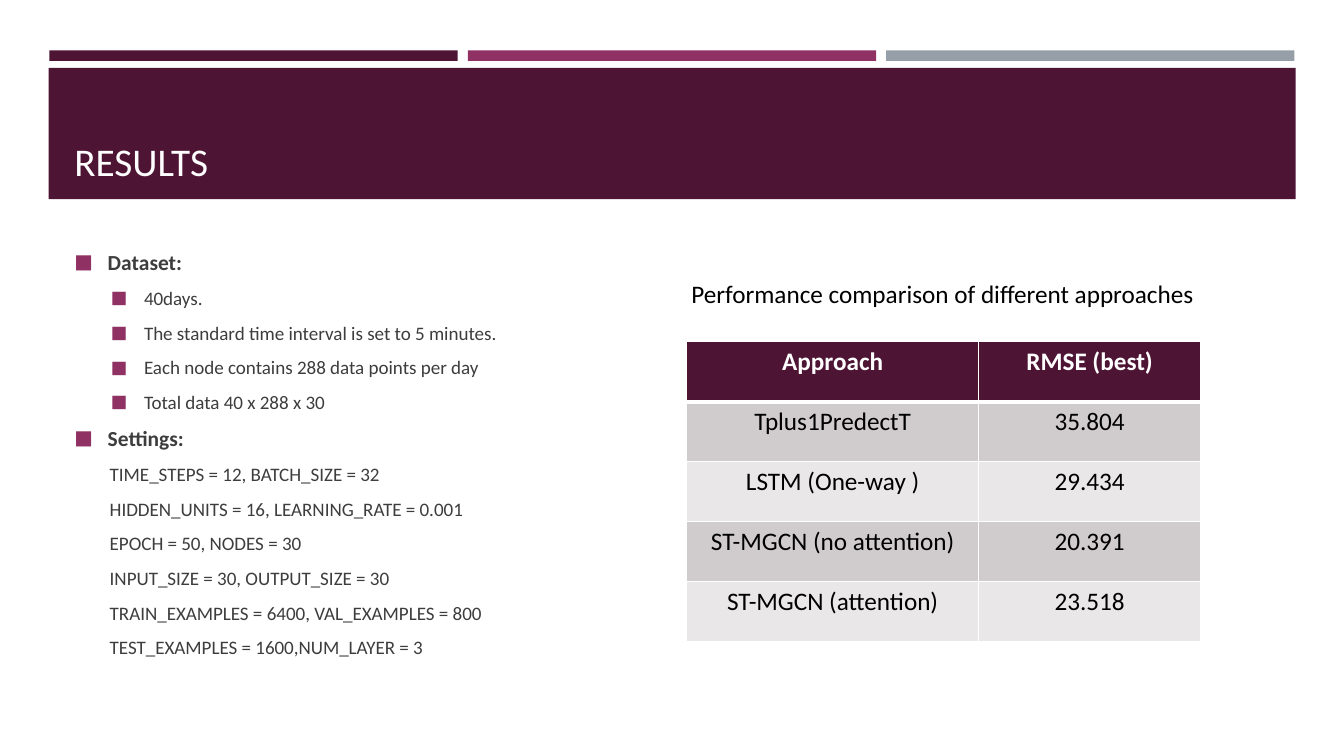
import pptx
import pptx.util
import pptx.dml.color
import pptx.enum.shapes
import pptx.enum.text
import pptx.oxml
import lxml.etree

deck = pptx.Presentation()
deck.slide_width = pptx.util.Inches(13.33)
deck.slide_height = pptx.util.Inches(7.5)
page = deck.slides.add_slide(deck.slide_layouts[6])

PLUM, BERRY, GREY, WHITE, BLACK, INK = "4D1434", "903163", "969FA7", "FFFFFF", "000000", "3D3D3D"


def area(left, top, width, height):
    wide, high = deck.slide_width / 100, deck.slide_height / 100
    return [round(share) for share in (left * wide, top * high, width * wide, height * high)]


def paint(target, color, size=None, bold=False):
    if size:
        target.font.name = "Calibri"
        target.font.size = pptx.util.Pt(size)
        target.font.bold = bold
        target = target.font
    target.fill.solid()
    target.fill.fore_color.rgb = pptx.dml.color.RGBColor.from_string(color)


blocks = [(area(3.68 + 31.13 * column, 6.67, 30.38, 1.4), color)
          for column, color in enumerate([PLUM, BERRY, GREY])]
blocks.append((area(3.63, 8.98, 92.78, 17.36), PLUM))
for place, color in blocks:
    block = page.shapes.add_shape(pptx.enum.shapes.MSO_SHAPE.RECTANGLE, *place)
    block.shadow.inherit = False
    block.line.fill.background()
    paint(block, color)

labels = [
    ("RESULTS", area(4.8, 10.27, 90.45, 14.8), 28, WHITE, pptx.enum.text.MSO_ANCHOR.BOTTOM),
    ("Performance comparison of different approaches", area(50.7, 36.13, 39.15, 5.33),
     18, BLACK, pptx.enum.text.MSO_ANCHOR.TOP),
]
for text, place, size, color, anchor in labels:
    box = page.shapes.add_textbox(*place)
    box.text_frame.word_wrap = True
    box.text_frame.vertical_anchor = anchor
    box.text_frame.text = text
    paint(box.text_frame.paragraphs[0].runs[0], color, size)

styles = {
    "heading": (15.3, 0.33, -0.33),
    "bullet": (13.6, 0.69, -0.33),
    "plain": (13.6, 0.35, 0),
}
notes = [
    ("heading", ["Dataset:"]),
    ("bullet", ["40days. ",
                "The standard time interval is set to 5 minutes.",
                "Each node contains 288 data points per day",
                "Total data 40 x 288 x 30"]),
    ("heading", ["Settings: "]),
    ("plain", ["TIME_STEPS = 12, BATCH_SIZE = 32",
               "HIDDEN_UNITS = 16, LEARNING_RATE = 0.001",
               "EPOCH = 50, NODES = 30",
               "INPUT_SIZE = 30, OUTPUT_SIZE = 30",
               "TRAIN_EXAMPLES = 6400, VAL_EXAMPLES = 800",
               "TEST_EXAMPLES = 1600,NUM_LAYER = 3"]),
]
lines = [(style, text) for style, texts in notes for text in texts]
frame = page.shapes.add_textbox(*area(4.8, 32.27, 42.45, 57.4)).text_frame
frame.word_wrap = True
frame.text = "\n".join(text for style, text in lines)
for para, (style, text) in zip(frame.paragraphs, lines):
    size, margin, indent = styles[style]
    para.level = int(style != "heading")
    para.space_before = pptx.util.Pt(2.4)
    para.space_after = pptx.util.Pt(6)
    paint(para.runs[0], INK, size, style == "heading")
    properties = para._p.get_or_add_pPr()
    properties.set("marL", str(pptx.util.Inches(margin)))
    properties.set("indent", str(pptx.util.Inches(indent)))
    if style == "plain":
        lxml.etree.SubElement(properties, pptx.oxml.ns.qn("a:buNone"))
    else:
        bullet_color = lxml.etree.SubElement(properties, pptx.oxml.ns.qn("a:buClr"))
        lxml.etree.SubElement(bullet_color, pptx.oxml.ns.qn("a:srgbClr"), val=BERRY)
        lxml.etree.SubElement(properties, pptx.oxml.ns.qn("a:buSzPct"), val="92000")
        lxml.etree.SubElement(properties, pptx.oxml.ns.qn("a:buFont"), typeface="Calibri")
        lxml.etree.SubElement(properties, pptx.oxml.ns.qn("a:buChar"), char="■")

results = [
    ("Approach", "RMSE (best)"),
    ("Tplus1PredectT", "35.804"),
    ("LSTM (One-way )", "29.434"),
    ("ST-MGCN (no attention)", "20.391"),
    ("ST-MGCN (attention)", "23.518"),
]
table = page.shapes.add_table(len(results), 2, *area(51.08, 45.2, 38.25, 39.73)).table
for column, share in zip(table.columns, (21.75, 16.5)):
    column.width = round(deck.slide_width * share / 100)
for row, values in enumerate(results):
    header = row == 0
    for column, value in enumerate(values):
        cell = table.cell(row, column)
        cell.text = value
        para = cell.text_frame.paragraphs[0]
        para.alignment = pptx.enum.text.PP_ALIGN.CENTER
        paint(para.runs[0], WHITE if header else BLACK, 18, header)
        properties = cell._tc.get_or_add_tcPr()
        for side in "LRTB":
            points = 3 if (side, row) in [("B", 0), ("T", 1)] else 1
            border = lxml.etree.SubElement(properties, pptx.oxml.ns.qn("a:ln" + side),
                                           w=str(pptx.util.Pt(points)))
            fill = lxml.etree.SubElement(border, pptx.oxml.ns.qn("a:solidFill"))
            lxml.etree.SubElement(fill, pptx.oxml.ns.qn("a:srgbClr"), val=WHITE)
        paint(cell, PLUM if header else ("E9E7E8", "D0CCCE")[row % 2])

deck.save("out.pptx")
